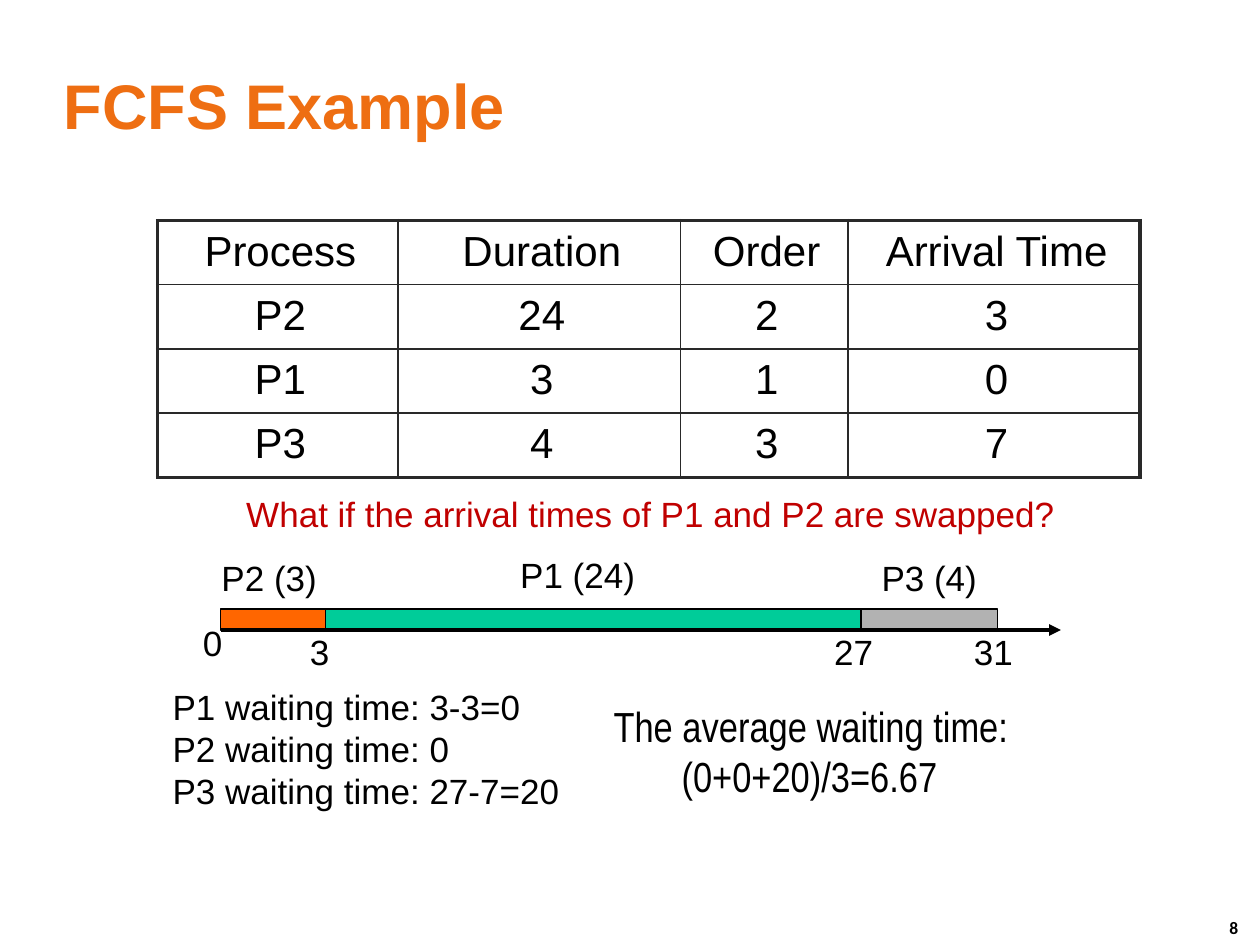
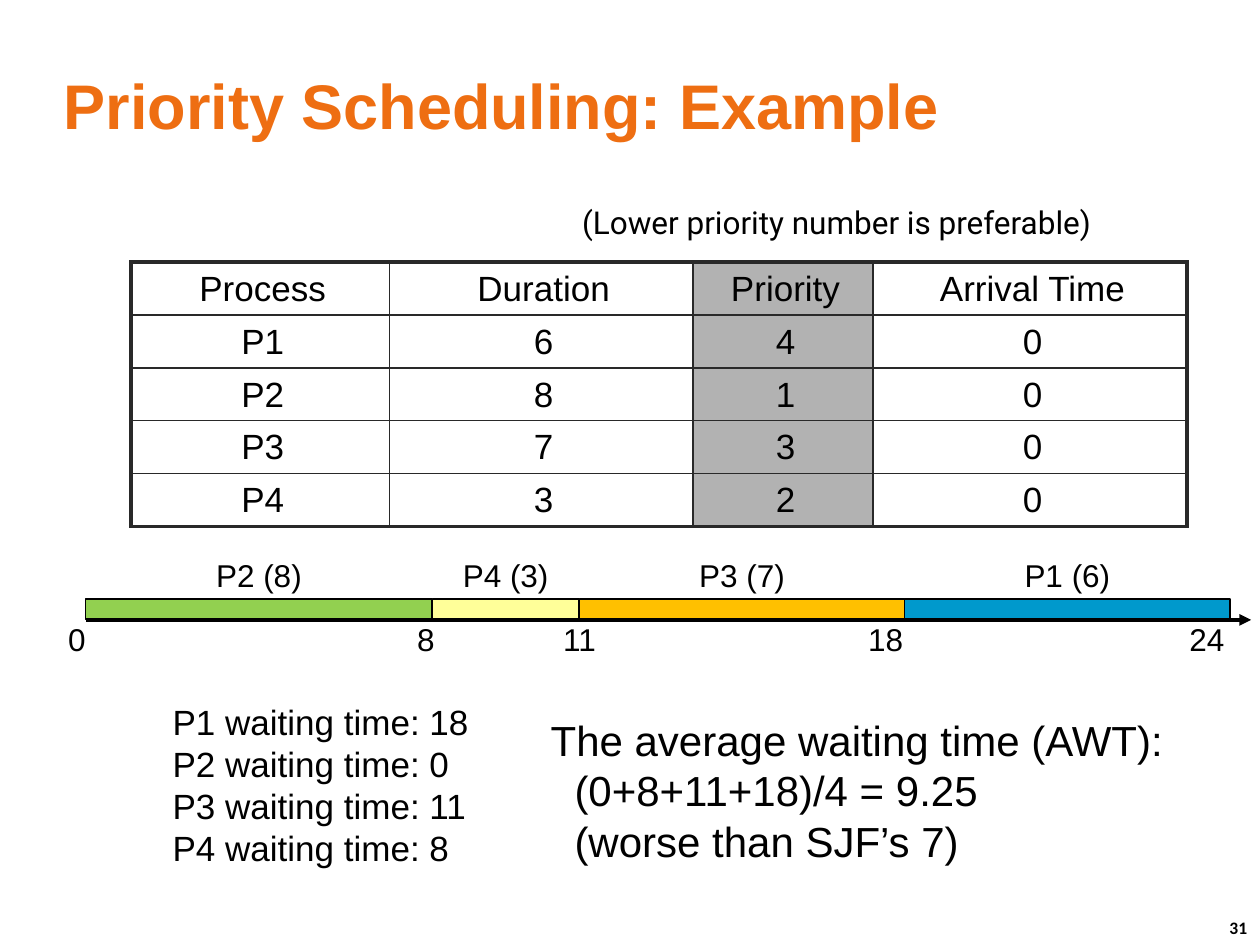
import pptx
import pptx.util
import pptx.dml.color
import pptx.enum.shapes
import pptx.enum.text
import pptx.oxml.ns
from lxml import etree

ORANGE, BLACK, RED, GREY, BORDER = "EE6E12", "000000", "C00000", "B2B2B2", "292929"
WIDTH, HEIGHT = 10, 7.5
UNIT = 1 / 12            # grid step of the timelines, in inches
BAR_HEIGHT = 2 * UNIT
LABEL_OVERHANG = 0.1     # room for a label beyond each end of its bar
INDENT = 0.04
ALIGN = pptx.enum.text.PP_ALIGN
ANCHOR = pptx.enum.text.MSO_ANCHOR

# Bars: label, start and length in grid steps, fill, label nudge (x, y) in inches.
# Ticks: text, left, drop below the axis, width.
# Notes: lines, box, text format; a line may be (text, indent).
SLIDES = [
    dict(
        title="FCFS Example", number="8",
        table=dict(
            rows=[("Process", "Duration", "Order", "Arrival Time"),
                  ("P2", "24", "2", "3"),
                  ("P1", "3", "1", "0"),
                  ("P3", "4", "3", "7")],
            at=(1.25, 1.75), columns=(1.91, 2.24, 1.33, 2.32),
            row_height=0.51, size=24, shaded=None),
        timeline=dict(
            left=21 * UNIT, axis=5, end=8.42, size=20, label_top=4.42,
            bars=[("P1 (24)", 8, 53, "00CC99", (-0.04, -0.03)),
                  ("P2 (3)", 0, 10, "FF6600", (-0.03, 0)),
                  ("P3 (4)", 61, 13, GREY, (0, 0))],
            ticks=[("0", 1.57, -0.07, 0.32), ("3", 2.42, 0, 0.24),
                   ("27", 6.58, 0, 0.48), ("31", 7.69, 0, 0.4)]),
        notes=[
            (["What if the arrival times of P1 and P2 are swapped?"],
             (1.25, 3.91, 7.83, 0.34), dict(size=20, color=RED, align=ALIGN.CENTER)),
            (["P1 waiting time: 3-3=0", "P2 waiting time: 0", "P3 waiting time: 27-7=20"],
             (1.33, 5.44, 3.18, 1.01), dict(size=20)),
            (["The average waiting time:", ("(0+0+20)/3=6.67", 0.58)],
             (4.83, 5.56, 4.04, 0.81), dict(size=24, font="Arial Narrow")),
        ]),
    dict(
        title="Priority Scheduling: Example", number="31",
        table=dict(
            rows=[("Process", "Duration", "Priority", "Arrival Time"),
                  ("P1", "6", "4", "0"),
                  ("P2", "8", "1", "0"),
                  ("P3", "7", "3", "0"),
                  ("P4", "3", "2", "0")],
            at=(1.04, 2.08), columns=(2.05, 2.41, 1.43, 2.49),
            row_height=0.42, size=20, shaded=2),
        timeline=dict(
            left=0.68, axis=4.92, end=9.93, size=18, label_top=4.41,
            bars=[("P2 (8)", 0, 33, "92D050", (0, 0)),
                  ("P4 (3)", 33, 14, "FFFF99", (0, 0)),
                  ("P3 (7)", 47, 31, "FFC000", (0, 0)),
                  ("P1 (6)", 78, 31, "0099CC", (0, 0))],
            ticks=[("0", 0.5, 0, 0.31), ("8", 3.27, 0, 0.31), ("11", 4.43, 0, 0.43),
                   ("18", 6.85, 0, 0.45), ("24", 9.4, 0, 0.45)]),
        notes=[
            (["(Lower priority number is preferable)"],
             (4.58, 1.61, 4.21, 0.3), dict(size=18, font="Roboto")),
            (["P1 waiting time: 18", "P2 waiting time: 0",
              "P3 waiting time: 11", "P4 waiting time: 8"],
             (1.33, 5.56, 2.46, 1.35), dict(size=20)),
            (["The average waiting time (AWT):", ("(0+8+11+18)/4 = 9.25", 0.23),
              ("(worse than SJF’s 7)", 0.23)],
             (4.33, 5.67, 5.09, 1.21), dict(size=24)),
        ]),
]


def inches(*lengths):
    return [pptx.util.Inches(length) for length in lengths]


def rgb(color):
    return pptx.dml.color.RGBColor.from_string(color)


def write(frame, lines, *, size, font="Arial", color=BLACK, bold=False,
          align=ALIGN.LEFT, anchor=ANCHOR.TOP, wrap=False,
          insets=(0, 0, 0.04, 0), indent=INDENT):
    """Fill a text frame with one paragraph per line."""
    frame.word_wrap = wrap
    frame.vertical_anchor = anchor
    (frame.margin_left, frame.margin_top,
     frame.margin_right, frame.margin_bottom) = inches(*insets)
    for index, line in enumerate(lines):
        text, line_indent = line if isinstance(line, tuple) else (line, indent)
        paragraph = frame.paragraphs[0] if index == 0 else frame.add_paragraph()
        properties = paragraph._p.get_or_add_pPr()
        properties.set("marL", str(pptx.util.Inches(line_indent)))
        properties.set("indent", "0")
        paragraph.alignment = align
        run = paragraph.add_run()
        run.text = text
        run.font.size = pptx.util.Pt(size)
        run.font.name = font
        run.font.bold = bold
        run.font.color.rgb = rgb(color)


def add_text(slide, lines, box, **text_format):
    write(slide.shapes.add_textbox(*inches(*box)).text_frame, lines, **text_format)


def set_borders(cell, widths):
    """Draw the left, right, top and bottom borders, widths in points."""
    properties = cell._tc.get_or_add_tcPr()
    for index, (side, width) in enumerate(zip("LRTB", widths)):
        line = etree.Element(pptx.oxml.ns.qn(f"a:ln{side}"), w=str(pptx.util.Pt(width)))
        fill = etree.SubElement(line, pptx.oxml.ns.qn("a:solidFill"))
        etree.SubElement(fill, pptx.oxml.ns.qn("a:srgbClr"), val=BORDER)
        properties.insert(index, line)


def add_process_table(slide, rows, at, columns, row_height, size, shaded):
    last_row, last_column = len(rows) - 1, len(columns) - 1
    table = slide.shapes.add_table(
        len(rows), len(columns),
        *inches(*at, sum(columns), row_height * len(rows))).table
    table.first_row = table.horz_banding = False
    for column, width in zip(table.columns, columns):
        column.width = pptx.util.Inches(width)
    for r, values in enumerate(rows):
        table.rows[r].height = pptx.util.Inches(row_height)
        for c, value in enumerate(values):
            cell = table.cell(r, c)
            write(cell.text_frame, [value], size=size, align=ALIGN.CENTER, wrap=True)
            (cell.margin_left, cell.margin_right,
             cell.margin_top, cell.margin_bottom) = inches(0.06, 0.06, 0.06, 0.02)
            if c == shaded:
                cell.fill.solid()
                cell.fill.fore_color.rgb = rgb(GREY)
            else:
                cell.fill.background()
            outer = (c == 0, c == last_column, r == 0, r == last_row)
            set_borders(cell, [2.25 if edge else 1 for edge in outer])


def add_axis(slide, start, end, y):
    axis = slide.shapes.add_connector(
        pptx.enum.shapes.MSO_CONNECTOR.STRAIGHT, *inches(start, y, end, y))
    axis.line.color.rgb = rgb(BLACK)
    axis.line.width = pptx.util.Pt(2.25)
    etree.SubElement(axis.line._get_or_add_ln(), pptx.oxml.ns.qn("a:tailEnd"),
                     type="triangle")
    etree.SubElement(axis._element.spPr, pptx.oxml.ns.qn("a:effectLst"))


def add_timeline(slide, left, axis, end, size, label_top, bars, ticks):
    for label, start, length, fill, (nudge_x, nudge_y) in bars:
        x, width = left + start * UNIT, length * UNIT
        bar = slide.shapes.add_shape(
            pptx.enum.shapes.MSO_SHAPE.RECTANGLE,
            *inches(x, axis - BAR_HEIGHT, width, BAR_HEIGHT))
        bar.shadow.inherit = False
        bar.fill.solid()
        bar.fill.fore_color.rgb = rgb(fill)
        bar.line.color.rgb = rgb(BLACK)
        bar.line.width = pptx.util.Pt(0.75)
        add_text(slide, [label],
                 (x + nudge_x - LABEL_OVERHANG, label_top + nudge_y,
                  width + 2 * LABEL_OVERHANG, 0.34),
                 size=size, align=ALIGN.CENTER)
    for tick, x, drop, width in ticks:
        add_text(slide, [tick], (x, axis + drop, width, 0.39), size=size)
    add_axis(slide, left, end, axis)


def main():
    deck = pptx.Presentation()
    deck.slide_width, deck.slide_height = inches(WIDTH, HEIGHT)
    for content in SLIDES:
        slide = deck.slides.add_slide(deck.slide_layouts[6])
        add_text(slide, [content["number"]], (9.66, 7.23, 0.37, 0.27), size=10,
                 font="Calibri", bold=True, insets=(0.1, 0.05, 0.1, 0.05), indent=0)
        add_text(slide, [content["title"]], (0.41, 0.41, 9.17, 0.83), size=36,
                 color=ORANGE, bold=True, anchor=ANCHOR.MIDDLE, wrap=True,
                 insets=(0.1, 0.05, 0.14, 0.05), indent=0)
        add_process_table(slide, **content["table"])
        add_timeline(slide, **content["timeline"])
        for lines, box, text_format in content["notes"]:
            add_text(slide, lines, box, **text_format)
    deck.save("out.pptx")


if __name__ == "__main__":
    main()
